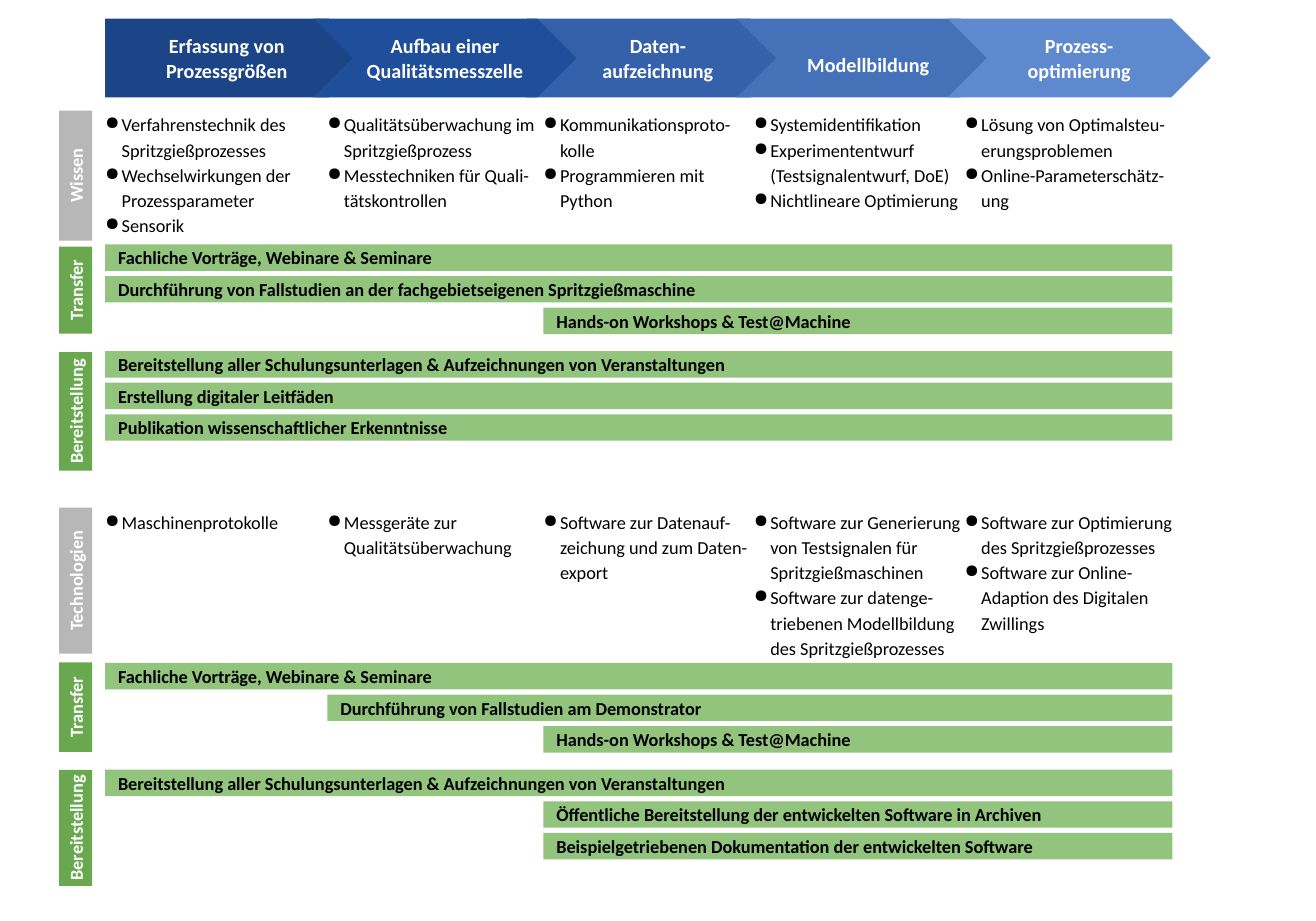
from lxml.etree import SubElement
from pptx import Presentation
from pptx.dml.color import RGBColor
from pptx.enum.shapes import MSO_SHAPE as Shape
from pptx.enum.text import MSO_ANCHOR as Anchor, PP_ALIGN as Align
from pptx.oxml.ns import qn
from pptx.util import Cm, Pt

COLORS = {
    "step1": "1C4587", "step2": "1F4E9A", "step3": "3461A9",
    "step4": "4471B8", "step5": "5E89CF",
    "topic": "B7B7B7", "measure": "6AA84F", "bar": "93C47D",
    "white": "FFFFFF", "black": "000000",
}
COLUMNS = [2.03, 6.32, 10.49, 14.55, 18.62]
RIGHT_EDGE = 22.63
LIST_WIDTH = 4.01
BAR_HEIGHT, BAR_PITCH = 0.51, 0.61
LABEL_CENTER, LABEL_THICKNESS = 1.46, 0.64


def write(paragraph, text, size, color, bold):
    paragraph.text = text
    font_format = {"name": "Calibri", "size": Pt(size), "bold": bold}
    for run in paragraph.runs:
        for key, value in font_format.items():
            setattr(run.font, key, value)
        run.font.color.rgb = RGBColor.from_string(COLORS[color])
    for line_break in paragraph._p.findall(qn("a:br")):
        SubElement(line_break, qn("a:rPr"), sz=str(size * 100))


def add_block(kind, box, fill, text, size, color, align, margins):
    block = slide.shapes.add_shape(kind, *map(Cm, box))
    block.shadow.inherit = False
    block.fill.solid()
    block.fill.fore_color.rgb = RGBColor.from_string(COLORS[fill])
    block.line.fill.background()
    frame = block.text_frame
    frame_format = {"word_wrap": True, "vertical_anchor": Anchor.MIDDLE}
    sides = ("margin_left", "margin_top", "margin_right", "margin_bottom")
    frame_format.update(zip(sides, map(Cm, margins)))
    for key, value in frame_format.items():
        setattr(frame, key, value)
    frame.paragraphs[0].alignment = align
    write(frame.paragraphs[0], text, size, color, True)
    return block


prs = Presentation()
prs.slide_width, prs.slide_height = Cm(25.4), Cm(17.78)
slide = prs.slides.add_slide(prs.slide_layouts[6])

steps = [
    (10.16, Shape.CHEVRON, "step3", "Daten-\naufzeichnung", (0, 0.25, 0, 0.25)),
    (2.03, Shape.PENTAGON, "step1", "Erfassung von Prozessgrößen", (0.25,) * 4),
    (6.05, Shape.CHEVRON, "step2", "Aufbau einer Qualitätsmesszelle", (0, 0.25, 0, 0.25)),
    (14.22, Shape.CHEVRON, "step4", "Modellbildung", (0, 0.51, 0, 0.25)),
    (18.29, Shape.CHEVRON, "step5", "Prozess-\noptimierung", (0, 0.25, 0, 0.25)),
]
for left, kind, fill, text, margins in steps:
    add_block(kind, (left, 0.36, 5.08, 1.52), fill, text, 11, "white",
              Align.CENTER, margins)

labels = [
    ("Wissen", "topic", 3.39, 2.51),
    ("Transfer", "measure", 5.6, 1.68),
    ("Bereitstellung", "measure", 7.94, 2.29),
    ("Technologien", "topic", 11.21, 2.82),
    ("Transfer", "measure", 13.65, 1.73),
    ("Bereitstellung", "measure", 15.98, 2.24),
]
for text, fill, middle, length in labels:
    box = (LABEL_CENTER - length / 2, middle - LABEL_THICKNESS / 2,
           length, LABEL_THICKNESS)
    label = add_block(Shape.RECTANGLE, box, fill, text, 10, "white",
                      Align.CENTER, (0, 0, 0, 0))
    label.rotation = 270

topics = [
    (2.13, 2.51, [
        ["Verfahrenstechnik des Spritzgießprozesses",
         "Wechselwirkungen der Prozessparameter", "Sensorik"],
        ["Qualitätsüberwachung im Spritzgießprozess",
         "Messtechniken für Quali-\ntätskontrollen"],
        ["Kommunikationsproto-\nkolle", "Programmieren mit Python"],
        ["Systemidentifikation", "Experimententwurf (Testsignalentwurf, DoE)",
         "Nichtlineare Optimierung"],
        ["Lösung von Optimalsteu-\nerungsproblemen",
         "Online-Parameterschätz-\nung"],
    ]),
    (9.8, 2.82, [
        ["Maschinenprotokolle"],
        ["Messgeräte zur Qualitätsüberwachung"],
        ["Software zur Datenauf-\nzeichung und zum Daten-\nexport"],
        ["Software zur Generierung von Testsignalen für Spritzgießmaschinen",
         "Software zur datenge-\ntriebenen Modellbildung des Spritzgießprozesses"],
        ["Software zur Optimierung des Spritzgießprozesses",
         "Software zur Online-Adaption des Digitalen Zwillings"],
    ]),
]
list_format = {"word_wrap": True, "margin_left": 0, "margin_top": 0,
               "margin_right": 0, "margin_bottom": 0}
for top, height, topic_lists in topics:
    for left, items in zip(COLUMNS, topic_lists):
        frame = slide.shapes.add_textbox(
            Cm(left), Cm(top), Cm(LIST_WIDTH), Cm(height)).text_frame
        for key, value in list_format.items():
            setattr(frame, key, value)
        for index, item in enumerate(items):
            entry = frame.add_paragraph() if index else frame.paragraphs[0]
            write(entry, item, 10, "black", False)
            entry.line_spacing = 1.15
            properties = entry._p.get_or_add_pPr()
            properties.set("marL", str(Cm(0.32)))
            properties.set("indent", str(-Cm(0.32)))
            bullet_color = SubElement(properties, qn("a:buClr"))
            SubElement(bullet_color, qn("a:srgbClr"), val=COLORS["black"])
            SubElement(properties, qn("a:buChar"), char="●")

measures = [
    (4.72, [(0, "Fachliche Vorträge, Webinare & Seminare"),
            (0, "Durchführung von Fallstudien an der fachgebietseigenen Spritzgießmaschine"),
            (2, "Hands-on Workshops & Test@Machine")]),
    (6.78, [(0, "Bereitstellung aller Schulungsunterlagen & Aufzeichnungen von Veranstaltungen"),
            (0, "Erstellung digitaler Leitfäden"),
            (0, "Publikation wissenschaftlicher Erkenntnisse")]),
    (12.8, [(0, "Fachliche Vorträge, Webinare & Seminare"),
            (1, "Durchführung von Fallstudien am Demonstrator"),
            (2, "Hands-on Workshops & Test@Machine")]),
    (14.86, [(0, "Bereitstellung aller Schulungsunterlagen & Aufzeichnungen von Veranstaltungen"),
             (2, "Öffentliche Bereitstellung der entwickelten Software in Archiven"),
             (2, "Beispielgetriebenen Dokumentation der entwickelten Software")]),
]
for top, bars in measures:
    for row, (column, text) in enumerate(bars):
        left = COLUMNS[column]
        box = (left, top + row * BAR_PITCH, RIGHT_EDGE - left, BAR_HEIGHT)
        add_block(Shape.RECTANGLE, box, "bar", text, 10, "black",
                  Align.LEFT, (0.25, 0, 0.25, 0))

prs.save("out.pptx")
